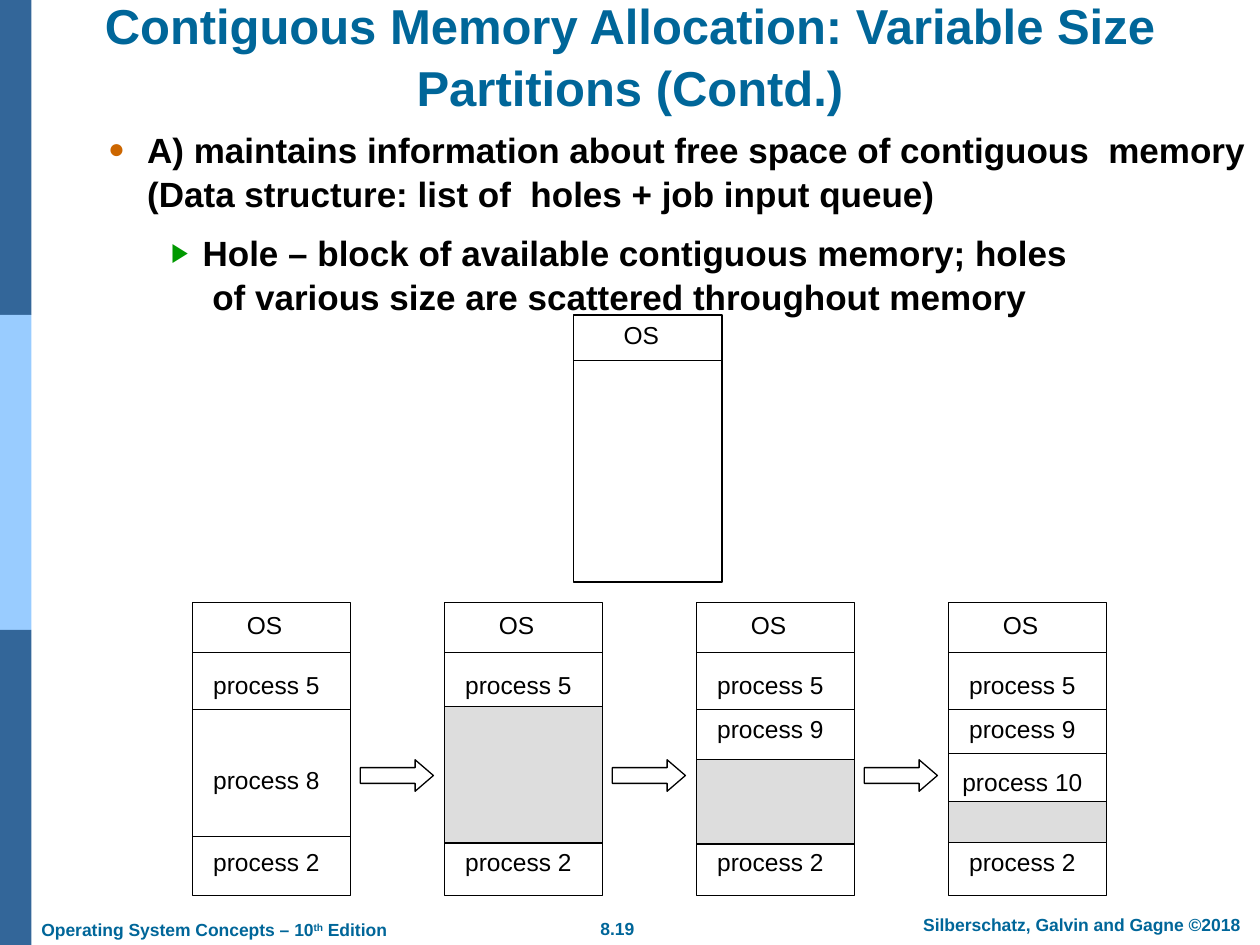
"""Build the slide on contiguous memory allocation with variable size partitions."""
import pptx
import pptx.dml.color
import pptx.enum.shapes
import pptx.enum.text
import pptx.oxml.ns
import pptx.util
from lxml import etree

Inches = pptx.util.Inches
SHAPES = pptx.enum.shapes.MSO_SHAPE
ALIGN = pptx.enum.text.PP_ALIGN
ANCHOR = pptx.enum.text.MSO_ANCHOR

COLORS = {
    "dark band": "336699", "light band": "99CCFF", "heading": "006699",
    "text": "000000", "white": "FFFFFF", "hole": "DDDDDD",
    "round bullet": "CC6600", "arrow bullet": "009900",
}
BANDS = ["dark band", "light band", "dark band"]
TITLE = "Contiguous Memory Allocation: Variable Size Partitions (Contd.)"
BODY = [
    {"text": "A) maintains information about free space of contiguous  memory "
             "(Data structure: list of  holes + job input queue)",
     "level": 0, "margin": 0.81, "indent": -0.31, "bullet": ("●", "round bullet", 80)},
    {"text": "Hole – block of available contiguous memory; holes\n"
             " of various size are scattered throughout memory",
     "level": 1, "margin": 1.25, "indent": -0.25, "bullet": ("▶", "arrow bullet", 75)},
]
FOOTERS = [
    (["8.19"], (4.41, 7.23, 0.98, 0.27), ALIGN.CENTER, False),
    (["Silberschatz, Galvin and Gagne ©2018"], (7.1, 7.2, 2.97, 0.27), ALIGN.CENTER, True),
    (["Operating System Concepts – 10", "^th", " Edition"], (0.23, 7.24, 2.94, 0.27),
     ALIGN.LEFT, False),
]
COLUMNS = [
    {"dividers": [5.18, 5.63, 6.64], "hole": None,
     "labels": [("process 5", 5.26), ("process 8", 6.01), ("process 2", 6.66)]},
    {"dividers": [5.18], "hole": (5.61, 1.08),
     "labels": [("process 5", 5.26), ("process 2", 6.66)]},
    {"dividers": [5.18, 5.63], "hole": (6.03, 0.67),
     "labels": [("process 5", 5.26), ("process 9", 5.61), ("process 2", 6.66)]},
    {"dividers": [5.18, 5.63, 5.98], "hole": (6.36, 0.33),
     "labels": [("process 5", 5.26), ("process 9", 5.61), ("process 10", 6.03),
                ("process 2", 6.66)]},
]
COLUMN_LEFT, COLUMN_STEP, COLUMN_WIDTH = 1.53, 2, 1.25
COLUMN_TOP, COLUMN_HEIGHT = 4.78, 2.33
LABEL_WIDTH, LABEL_HEIGHT = 1.17, 0.34
EMPTY_MEMORY = (4.55, 2.5, 1.18, 2.12)


def rgb(name):
    return pptx.dml.color.RGBColor.from_string(COLORS[name])


def add_bullet(paragraph, margin, indent, character, color, percent):
    properties = paragraph._p.get_or_add_pPr()
    properties.set("marL", str(Inches(margin)))
    properties.set("indent", str(Inches(indent)))
    qn = pptx.oxml.ns.qn
    bullet_color = etree.SubElement(properties, qn("a:buClr"))
    etree.SubElement(bullet_color, qn("a:srgbClr"), val=COLORS[color])
    etree.SubElement(properties, qn("a:buSzPct"), val=str(percent * 1000))
    etree.SubElement(properties, qn("a:buFont"), typeface="Arial")
    etree.SubElement(properties, qn("a:buChar"), char=character)


def add_text(shapes, paragraphs, place, size=14, color="text", bold=False,
             align=ALIGN.CENTER, anchor=ANCHOR.TOP, wrap=True):
    """Add a text box; a run that starts with ^ is raised."""
    box = shapes.add_textbox(*map(Inches, place))
    frame = box.text_frame
    frame.word_wrap = wrap
    frame.vertical_anchor = anchor
    for index, item in enumerate(paragraphs):
        paragraph = frame.add_paragraph() if index else frame.paragraphs[0]
        if isinstance(item, dict):
            paragraph.level = item["level"]
            add_bullet(paragraph, item["margin"], item["indent"], *item["bullet"])
            paragraph.text = item["text"]
        else:
            for part in item:
                run = paragraph.add_run()
                run.text = part.lstrip("^")
                if part.startswith("^"):
                    run.font._element.set("baseline", "30000")
        paragraph.alignment = align
        paragraph.line_spacing = 1.05
        if index:
            paragraph.space_before = pptx.util.Pt(8.8)
        for run in paragraph.runs:
            run.font.name = "Arial"
            run.font.size = pptx.util.Pt(size)
            run.font.bold = bold
            run.font.color.rgb = rgb(color)
    return box


def add_block(shapes, place, fill, outlined=True, kind=SHAPES.RECTANGLE):
    shape = shapes.add_shape(kind, *map(Inches, place))
    shape.shadow.inherit = False
    shape.fill.solid()
    shape.fill.fore_color.rgb = rgb(fill)
    if outlined:
        shape.line.color.rgb = rgb("text")
        shape.line.width = pptx.util.Pt(0.75)
    else:
        shape.line.fill.background()
    return shape


def add_divider(shapes, left, top, width):
    line = shapes.add_connector(pptx.enum.shapes.MSO_CONNECTOR.STRAIGHT,
                                *map(Inches, (left, top, left + width, top)))
    line.line.color.rgb = rgb("text")
    line.line.width = pptx.util.Pt(0.75)
    etree.SubElement(line._element.spPr, pptx.oxml.ns.qn("a:effectLst"))


def add_label(shapes, text, left, top, width=LABEL_WIDTH, wrap=True):
    add_text(shapes, [[text]], (left, top, width, LABEL_HEIGHT),
             anchor=ANCHOR.MIDDLE, wrap=wrap)


def add_column(shapes, left, column):
    add_block(shapes, (left, COLUMN_TOP, COLUMN_WIDTH, COLUMN_HEIGHT), "white")
    for top in column["dividers"]:
        add_divider(shapes, left, top, COLUMN_WIDTH)
    if column["hole"]:
        top, height = column["hole"]
        add_block(shapes, (left, top, COLUMN_WIDTH, height), "hole")
    add_label(shapes, "OS", left + 0.33, COLUMN_TOP, width=0.48, wrap=False)
    for text, top in column["labels"]:
        add_label(shapes, text, left, top)


def main():
    presentation = pptx.Presentation()
    presentation.slide_width, presentation.slide_height = Inches(10), Inches(7.5)
    slide = presentation.slides.add_slide(presentation.slide_layouts[6])

    for index, color in enumerate(BANDS):
        add_block(slide.shapes, (0, index * 2.5, 0.25, 2.5), color, outlined=False)
    for runs, place, align, wrap in FOOTERS:
        add_text(slide.shapes, [runs], place, size=10, color="heading", bold=True,
                 align=align, wrap=wrap)
    add_text(slide.shapes, [[TITLE]], (0.5, 0, 9, 0.97), size=28, color="heading",
             bold=True, anchor=ANCHOR.BOTTOM)
    add_text(slide.shapes, BODY, (0.26, 0.95, 9.74, 6.55), size=20, bold=True,
             align=ALIGN.LEFT)

    stages = slide.shapes.add_group_shape().shapes
    for index, column in enumerate(COLUMNS):
        left = COLUMN_LEFT + index * COLUMN_STEP
        add_column(stages, left, column)
        if index:
            arrow = add_block(stages, (left - 0.67, 6.03, 0.58, 0.25), "white",
                              kind=SHAPES.RIGHT_ARROW)
            arrow.adjustments[1] = 0.58

    memory = slide.shapes.add_group_shape().shapes
    left, top, width, height = EMPTY_MEMORY
    add_block(memory, EMPTY_MEMORY, "white")
    add_divider(memory, left, top + 0.36, width)
    add_label(memory, "OS", left + 0.3, top - 0.02, width=0.48, wrap=False)

    presentation.save("out.pptx")


if __name__ == "__main__":
    main()
